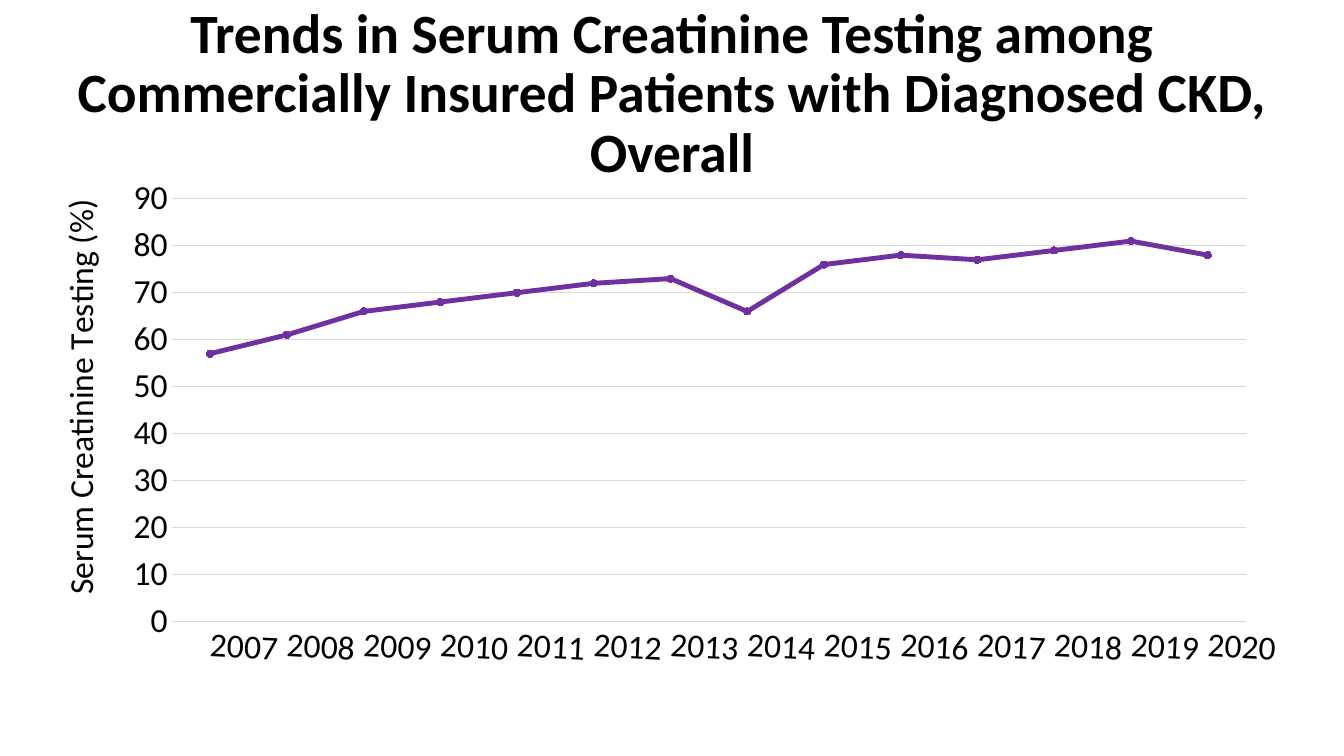
from lxml import etree
from pptx import Presentation
from pptx import util as u
from pptx.chart import data as chart_data
from pptx.dml.color import RGBColor
from pptx.enum import chart as charts, text
from pptx.oxml import ns

PX = 914400 / 100.8
BLACK = RGBColor(0x00, 0x00, 0x00)
GRAY = RGBColor(0xD9, 0xD9, 0xD9)
PURPLE = RGBColor(0x70, 0x30, 0xA0)
CHART_BOX = (39, 168, 1264, 515)


def px(*lengths):
    return [u.Emu(round(length * PX)) for length in lengths]


def place(parent, index, **settings):
    """Give a chart part a manual layout, as child number index."""
    for old in parent.findall(ns.qn("c:layout")):
        parent.remove(old)
    layout = etree.Element(ns.qn("c:layout"))
    manual = etree.SubElement(layout, ns.qn("c:manualLayout"))
    for name, value in settings.items():
        etree.SubElement(manual, ns.qn("c:" + name)).set("val", str(value))
    parent.insert(index, layout)


deck = Presentation()
deck.slide_width, deck.slide_height = px(1344, 756)
page = deck.slides.add_slide(deck.slide_layouts[5])

# Title
title = page.shapes.title
title.left, title.top, title.width, title.height = px(24, 22, 1296, 146)
frame = title.text_frame
frame.text = ("Trends in Serum Creatinine Testing among Commercially Insured "
              "Patients with Diagnosed CKD, Overall")
frame.word_wrap = True
frame.auto_size = text.MSO_AUTO_SIZE.NONE
frame.vertical_anchor = text.MSO_ANCHOR.MIDDLE
para = frame.paragraphs[0]
para.alignment = text.PP_ALIGN.CENTER
para.line_spacing = 0.9
font = para.runs[0].font
font.name, font.size, font.bold = "Calibri", u.Pt(39.6), True
font.color.rgb = BLACK

# Line chart
testing = chart_data.CategoryChartData(number_format="0")
testing.categories = [str(year) for year in range(2007, 2021)]
testing.add_series("Series 1", (57, 61, 66, 68, 70, 72, 73,
                                66, 76, 78, 77, 79, 81, 78))
chart = page.shapes.add_chart(charts.XL_CHART_TYPE.LINE_MARKERS,
                              *px(*CHART_BOX), testing).chart
chart.has_title = False
chart.has_legend = False
chart.font.name, chart.font.size = "Calibri", u.Pt(10)
chart.font.color.rgb = BLACK
chart.plots[0].vary_by_categories = False

line = chart.plots[0].series[0]
line.smooth = False
line.format.line.color.rgb = PURPLE
line.format.line.width = u.Pt(3.5)
line.marker.style = charts.XL_MARKER_STYLE.CIRCLE
line.marker.size = 5
line.marker.format.fill.solid()
line.marker.format.fill.fore_color.rgb = PURPLE
line.marker.format.line.color.rgb = PURPLE

# Axes
years, percent = chart.category_axis, chart.value_axis
for axis in (years, percent):
    axis.major_tick_mark = axis.minor_tick_mark = charts.XL_TICK_MARK.NONE
    labels = axis.tick_labels.font
    labels.name, labels.size = "Calibri", u.Pt(24)
    labels.color.rgb = BLACK
years.format.line.color.rgb = GRAY
years.format.line.width = u.Pt(0.75)
years_body = years._element.find(ns.qn("c:txPr")).find(ns.qn("a:bodyPr"))
years_body.set("rot", str(3 * 60000))
years_body.set("vert", "horz")

percent.minimum_scale, percent.maximum_scale, percent.major_unit = 0, 90, 10
percent.tick_labels.number_format = "0"
percent.tick_labels.number_format_is_linked = False
percent.format.line.fill.background()
percent.has_major_gridlines = True
percent.major_gridlines.format.line.color.rgb = GRAY
percent.major_gridlines.format.line.width = u.Pt(0.75)

# Value axis title
axis_title = percent.axis_title
axis_title.text_frame.text = "Serum Creatinine Testing (%)"
span = axis_title.text_frame.paragraphs[0].runs[0]
span.font.name, span.font.size, span.font.bold = "Calibri", u.Pt(24), False
span.font.color.rgb = BLACK
axis_body = axis_title.text_frame._txBody.find(ns.qn("a:bodyPr"))
axis_body.set("rot", str(-90 * 60000))
axis_body.set("vert", "horz")

# Positions inside the chart, as shares of its size
place(axis_title._element, 1, xMode="edge", yMode="edge", x=0.01, y=0.05)
plot_area = chart._chartSpace.find(ns.qn("c:chart")).find(ns.qn("c:plotArea"))
place(plot_area, 0, layoutTarget="inner", xMode="edge", yMode="edge",
      x=round(133 / 1264, 3), y=0.06, w=0.85, h=0.82)

deck.save("out.pptx")
